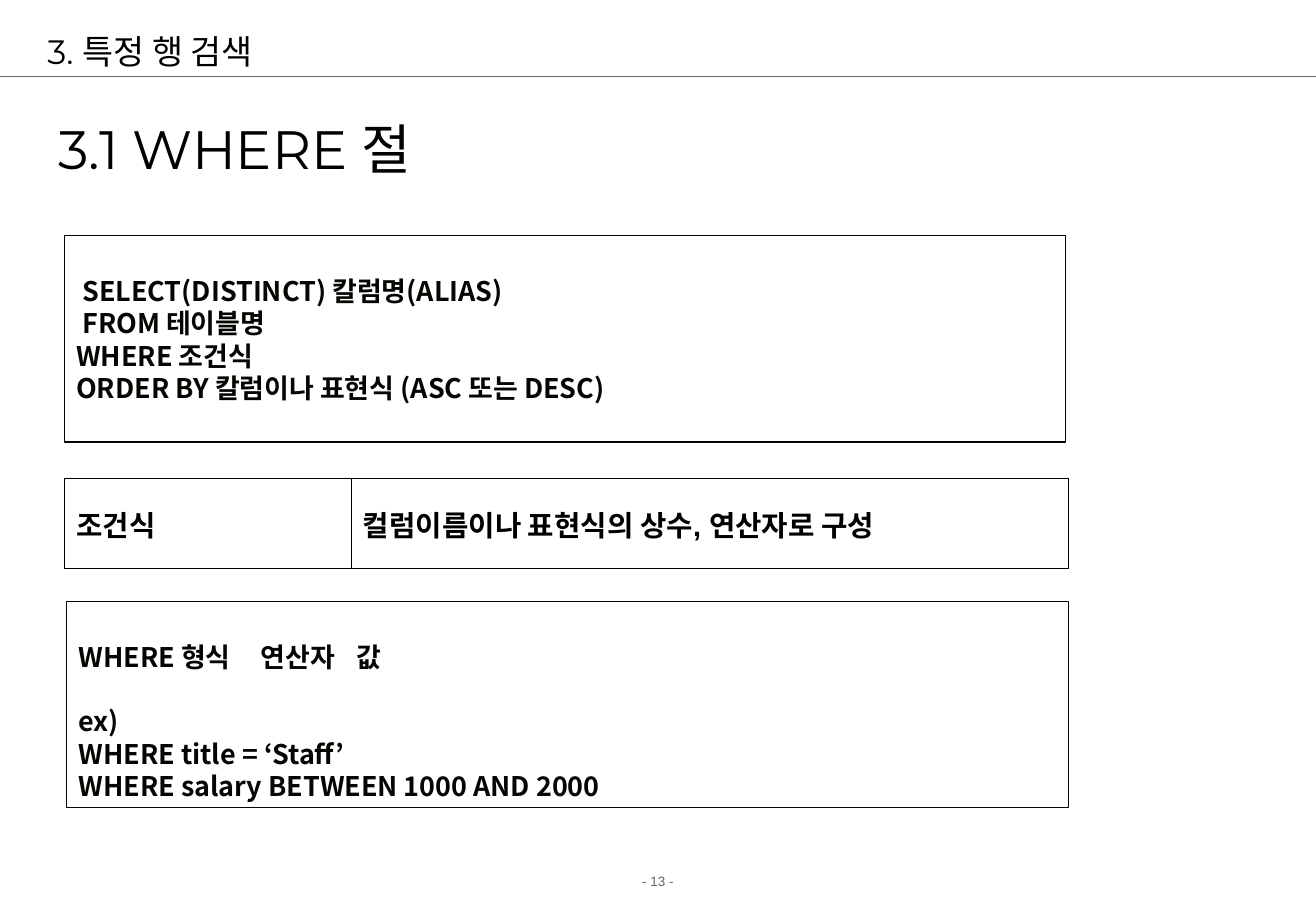
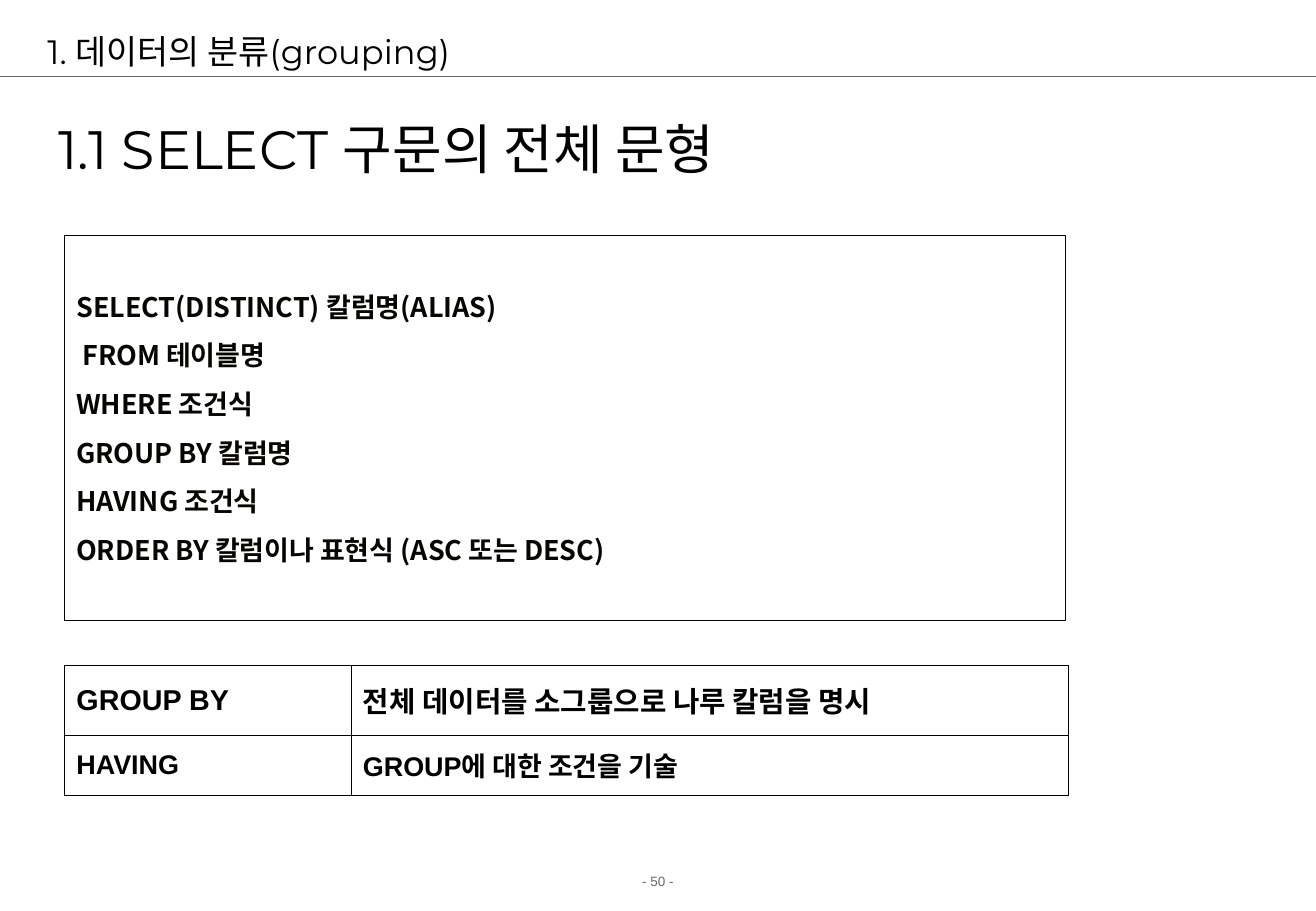
from lxml import etree
from pptx import Presentation
from pptx.dml.color import RGBColor
from pptx.enum.shapes import MSO_CONNECTOR, MSO_SHAPE
from pptx.enum.text import MSO_ANCHOR, MSO_AUTO_SIZE, PP_ALIGN
from pptx.oxml.ns import qn
from pptx.util import Inches, Pt

LEFT, CENTER = PP_ALIGN.LEFT, PP_ALIGN.CENTER
TOP, MIDDLE = MSO_ANCHOR.TOP, MSO_ANCHOR.MIDDLE
FIXED = MSO_AUTO_SIZE.NONE
RECTANGLE, STRAIGHT = MSO_SHAPE.RECTANGLE, MSO_CONNECTOR.STRAIGHT

WIDTH, HEIGHT = 10.84, 7.5
BLACK, INK, GREY = "000000", "070501", "666666"
KOREAN = "Noto Sans CJK KR"
HEADER = {"size": Pt(20), "name": "Montserrat", "bold": False}
SECTION = {**HEADER, "size": Pt(32)}
SYNTAX = {"size": Pt(16), "name": KOREAN, "bold": True}
TERM = {"size": Pt(17), "name": "Arial", "bold": True}
FOOTER = {"size": Pt(8), "name": "Arial", "bold": False}

BOX_WIDTH = 8.25
COLUMNS = (2.36, 5.91)
BORDER = 0.34


def rgb(value):
    return RGBColor.from_string(value)


def apply(target, values):
    for key, value in values.items():
        setattr(target, key, value)


class Deck:
    def __init__(self):
        self.presentation = Presentation()
        apply(self.presentation, {"slide_width": Inches(WIDTH),
                                  "slide_height": Inches(HEIGHT)})
        self.slide = None

    def add_text(self, paragraph, text, style, color, align=LEFT):
        paragraph.alignment = align
        run = paragraph.add_run()
        run.text = text
        apply(run.font, style)
        run.font.color.rgb = rgb(color)
        etree.SubElement(run._r.get_or_add_rPr(), qn("a:ea"), typeface=KOREAN)

    def frame(self, shape, anchor, top_inset=0.05):
        apply(shape.text_frame, {
            "word_wrap": True, "auto_size": FIXED, "vertical_anchor": anchor,
            "margin_left": Inches(0.1), "margin_right": Inches(0.1),
            "margin_top": Inches(top_inset), "margin_bottom": Inches(0.05)})
        return shape.text_frame

    def label(self, text, place, style, color, anchor, align=LEFT):
        box = self.slide.shapes.add_textbox(*map(Inches, place))
        self.add_text(self.frame(box, anchor).paragraphs[0], text, style, color, align)

    def rule(self, y):
        line = self.slide.shapes.add_connector(
            STRAIGHT, 0, Inches(y), Inches(WIDTH), Inches(y))
        line.line.color.rgb = rgb(GREY)
        line.line.width = Pt(0.75)
        etree.SubElement(line._element.spPr, qn("a:effectLst"))

    def start(self, heading, section, page):
        layout = self.presentation.slide_layouts[5]
        self.slide = self.presentation.slides.add_slide(layout)
        self.label(f"- {page} -", (0, 7.14, WIDTH, 0.24), FOOTER, GREY, TOP, CENTER)
        self.rule(0.63)
        title = self.slide.shapes.title
        apply(title, {"left": Inches(0.29), "top": Inches(0.21),
                      "width": Inches(10.17), "height": Inches(0.42)})
        self.add_text(self.frame(title, MIDDLE).paragraphs[0], heading, HEADER, BLACK)
        self.label(section, (0.38, 0.76, 8.5, 0.92), SECTION, BLACK, MIDDLE)

    def syntax(self, lines, left, top, height, inset=0.32, gaps=None, tabs=()):
        box = self.slide.shapes.add_shape(
            RECTANGLE, *map(Inches, (left, top, BOX_WIDTH, height)))
        box.shadow.inherit = False
        box.fill.background()
        box.line.color.rgb = rgb(INK)
        box.line.width = Pt(0.75)
        frame = self.frame(box, TOP, inset)
        for index, line in enumerate(lines):
            paragraph = frame.add_paragraph() if index else frame.paragraphs[0]
            self.add_text(paragraph, line, SYNTAX, INK)
            paragraph.space_before = Pt((gaps or {}).get(index, 0))
            if "\t" in line:
                stops = etree.SubElement(paragraph._p.get_or_add_pPr(), qn("a:tabLst"))
                for stop in tabs:
                    etree.SubElement(stops, qn("a:tab"), pos=str(Inches(stop)), algn="l")

    def border(self, cell):
        properties = cell._tc.get_or_add_tcPr()
        for index, side in enumerate(("lnL", "lnR", "lnT", "lnB")):
            edge = etree.Element(qn(f"a:{side}"), w=str(Pt(BORDER)))
            fill = etree.SubElement(edge, qn("a:solidFill"))
            etree.SubElement(fill, qn("a:srgbClr"), val=BLACK)
            properties.insert(index, edge)

    def terms(self, rows, top):
        height = sum(row_height for row_height, _, _ in rows)
        place = (0.53, top, sum(COLUMNS), height)
        table = self.slide.shapes.add_table(
            len(rows), len(COLUMNS), *map(Inches, place)).table
        apply(table, {"first_row": False, "horz_banding": False})
        for column, width in zip(table.columns, COLUMNS):
            column.width = Inches(width)
        for row, (row_height, size, texts) in zip(table.rows, rows):
            row.height = Inches(row_height)
            for cell, text in zip(row.cells, texts):
                cell.vertical_anchor = MIDDLE
                cell.fill.background()
                self.border(cell)
                self.add_text(cell.text_frame.paragraphs[0], text,
                              {**TERM, "size": Pt(size)}, BLACK)


def main():
    deck = Deck()
    source, condition = " FROM 테이블명", "WHERE 조건식"
    columns = "SELECT(DISTINCT) 칼럼명(ALIAS)"
    order = "ORDER BY 칼럼이나 표현식 (ASC 또는 DESC)"

    deck.start("3. 특정 행 검색", "3.1 WHERE 절", 13)
    deck.syntax([f" {columns}", source, condition, order], 0.53, 1.94, 1.7)
    deck.terms([(0.74, 17, ("조건식", "컬럼이름이나 표현식의 상수, 연산자로 구성"))], 3.94)
    deck.syntax(["WHERE 형식\t연산자\t값", "ex)", "WHERE title = ‘Staff’",
                 "WHERE salary BETWEEN 1000 AND 2000"],
                0.55, 4.95, 1.7, gaps={1: 19.2}, tabs=(1.5, 2.29))

    deck.start("1. 데이터의 분류(grouping)", "1.1 SELECT 구문의 전체 문형", 50)
    clauses = [columns, source, condition, "GROUP BY 칼럼명", "HAVING 조건식", order]
    deck.syntax(clauses, 0.53, 1.94, 3.17, inset=0.45,
                gaps=dict.fromkeys(range(1, len(clauses)), 9.6))
    deck.terms([(0.57, 17, ("GROUP BY", "전체 데이터를 소그룹으로 나루 칼럼을 명시")),
                (0.5, 16, ("HAVING", "GROUP에 대한 조건을 기술"))], 5.48)

    deck.presentation.save("out.pptx")


if __name__ == "__main__":
    main()
